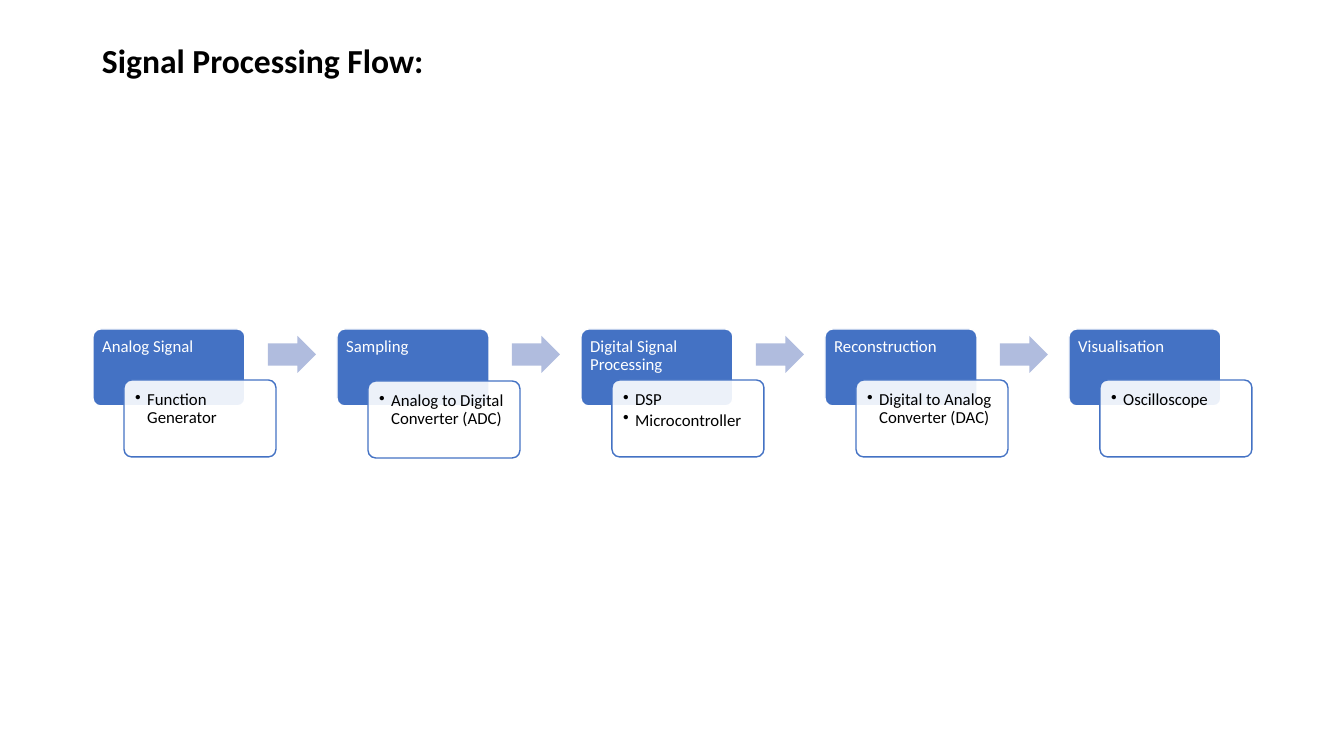
import dataclasses

import lxml.etree
import pptx
import pptx.dml.color
import pptx.enum.shapes
import pptx.enum.text
import pptx.oxml.ns
import pptx.util

SCALE = 914400 / 100.8
SHAPES = pptx.enum.shapes.MSO_SHAPE
ANCHORS = pptx.enum.text.MSO_ANCHOR


@dataclasses.dataclass(frozen=True)
class Theme:
    font: str = "Calibri"
    blue: str = "4472C4"
    arrow: str = "B0BCDE"
    white: str = "FFFFFF"
    black: str = "000000"
    title_size: int = 24
    body_size: int = 12
    line_width: int = 1
    card_opacity: int = 90


THEME = Theme()
STEP_LEFT, STEP_PITCH = 93, 244
BOX_WIDTH, BOX_HEIGHT = 152, 77
STEPS = [
    ("Analog Signal", ["Function Generator"], 380),
    ("Sampling", ["Analog to Digital Converter (ADC)"], 381),
    ("Digital Signal Processing", ["DSP", "Microcontroller"], 380),
    ("Reconstruction", ["Digital to Analog Converter (DAC)"], 380),
    ("Visualisation", ["Oscilloscope"], 380),
]


def px(length):
    return pptx.util.Emu(round(length * SCALE))


def rgb(code):
    return pptx.dml.color.RGBColor.from_string(code)


def write_text(box, lines, size, color, inset, anchor=ANCHORS.TOP, gap=0, bold=False):
    frame = box.text_frame
    frame.word_wrap = True
    frame.vertical_anchor = anchor
    frame.margin_left = frame.margin_right = px(inset)
    frame.margin_top = frame.margin_bottom = px(inset)
    frame.text = "\n".join(lines)
    for para in frame.paragraphs:
        para.alignment = pptx.enum.text.PP_ALIGN.LEFT
        para.line_spacing = 0.9
        para.space_after = pptx.util.Pt(gap)
        para.font.name = THEME.font
        para.font.size = pptx.util.Pt(size)
        para.font.bold = bold
        para.font.color.rgb = rgb(color)


def add_bullets(box, indent):
    for para in box.text_frame.paragraphs:
        properties = para._p.get_or_add_pPr()
        properties.set("marL", str(px(indent)))
        properties.set("indent", str(-px(indent)))
        bullet = lxml.etree.SubElement(properties, pptx.oxml.ns.qn("a:buChar"))
        bullet.set("char", "•")
        properties.insert_element_before(bullet, "a:tabLst", "a:defRPr", "a:extLst")


def set_opacity(shape, percent):
    color = shape.fill._xPr.find(".//" + pptx.oxml.ns.qn("a:srgbClr"))
    alpha = lxml.etree.SubElement(color, pptx.oxml.ns.qn("a:alpha"))
    alpha.set("val", str(percent * 1000))


def add_filled_shape(page, kind, left, top, width, height, fill, adjustments):
    shape = page.shapes.add_shape(kind, px(left), px(top), px(width), px(height))
    shape.shadow.inherit = False
    shape.fill.solid()
    shape.fill.fore_color.rgb = rgb(fill)
    shape.line.fill.background()
    for index, value in enumerate(adjustments):
        shape.adjustments[index] = value
    return shape


def add_rounded_box(page, left, top, fill, line):
    box = add_filled_shape(
        page, SHAPES.ROUNDED_RECTANGLE, left, top, BOX_WIDTH, BOX_HEIGHT, fill, [0.1]
    )
    box.line.color.rgb = rgb(line)
    box.line.width = pptx.util.Pt(THEME.line_width)
    return box


def add_title(page, text):
    box = page.shapes.add_textbox(px(93), px(40), px(1159), px(46))
    write_text(box, [text], THEME.title_size, THEME.black, 9, ANCHORS.MIDDLE, bold=True)


def add_step(page, left, heading, items, card_top):
    header = add_rounded_box(page, left, 329, THEME.blue, THEME.white)
    write_text(header, [heading], THEME.body_size, THEME.white, 7, gap=4.2)
    card = add_rounded_box(page, left + 31, card_top, THEME.white, THEME.blue)
    set_opacity(card, THEME.card_opacity)
    write_text(card, items, THEME.body_size, THEME.black, 9, gap=1.8)
    add_bullets(card, 12)


def add_arrow(page, left):
    add_filled_shape(
        page, SHAPES.RIGHT_ARROW, left, 336, 48, 37, THEME.arrow, [0.6, 0.5]
    )


def main():
    deck = pptx.Presentation()
    deck.slide_width, deck.slide_height = px(1344), px(756)
    page = deck.slides.add_slide(deck.slide_layouts[6])
    add_title(page, "Signal Processing Flow:")
    for index, (heading, items, card_top) in enumerate(STEPS):
        left = STEP_LEFT + index * STEP_PITCH
        add_step(page, left, heading, items, card_top)
        if index < len(STEPS) - 1:
            add_arrow(page, left + 175)
    deck.save("out.pptx")


if __name__ == "__main__":
    main()
